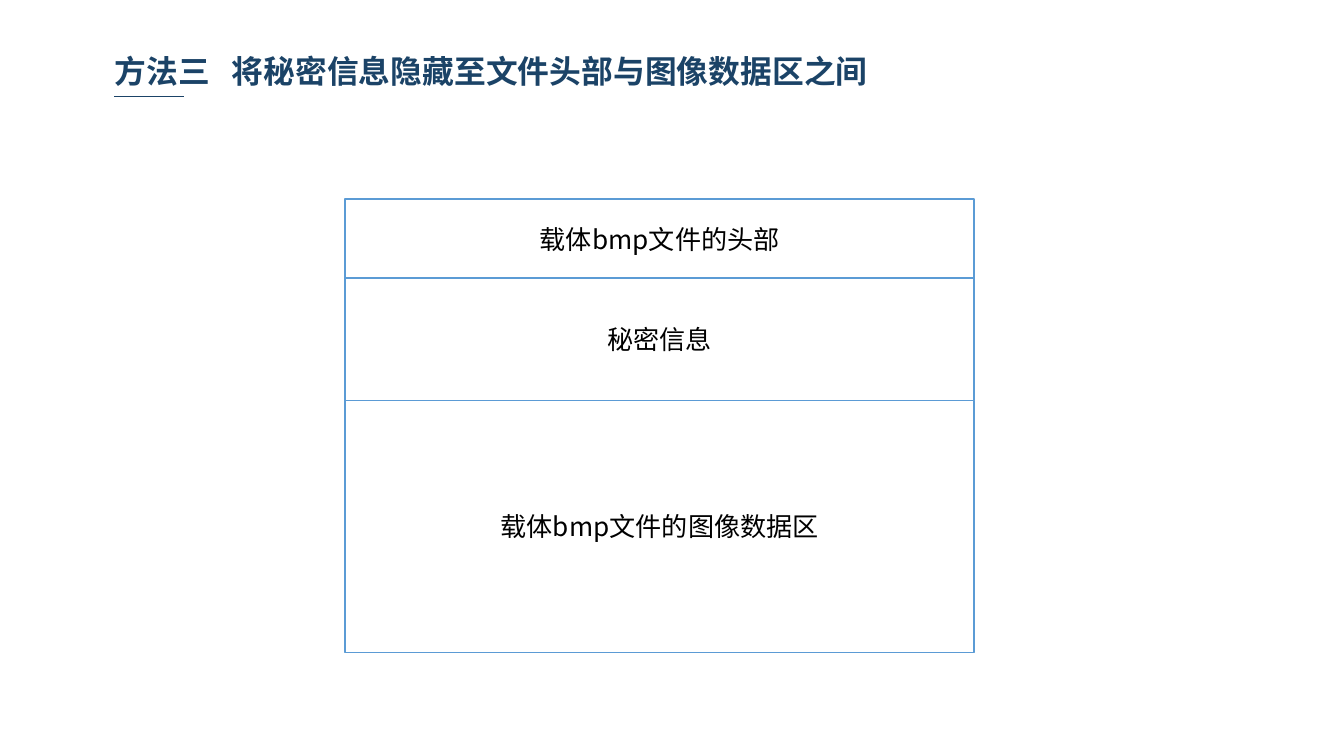
from pptx import Presentation
from pptx.dml.color import RGBColor
from pptx.enum.shapes import MSO_CONNECTOR, MSO_SHAPE
from pptx.enum.text import MSO_ANCHOR, MSO_AUTO_SIZE, PP_ALIGN
from pptx.oxml.ns import qn
from pptx.util import Inches, Pt
from lxml.etree import SubElement

HEX = {"navy": "1B4367", "blue": "5B9BD5", "white": "FFFFFF", "black": "000000"}
FONT = "Noto Sans CJK SC"


def tint(name):
    return RGBColor.from_string(HEX[name])


def write(shape, text, size=14, color="black", bold=False,
          align=PP_ALIGN.CENTER, anchor=MSO_ANCHOR.MIDDLE):
    frame = shape.text_frame
    frame.word_wrap = True
    frame.vertical_anchor = anchor
    para = frame.paragraphs[0]
    para.alignment = align
    run = para.add_run()
    run.text = text
    font = run.font
    font.name, font.size, font.bold = FONT, Pt(size), bold
    font.color.rgb = tint(color)
    SubElement(font._element, qn("a:ea"), typeface=FONT)
    return para


class Deck:
    """Holds the style and the current slide, on a grid of tenths of an inch."""

    def __init__(self, cols=100, rows=56.25):
        self.file = Presentation()
        self.file.slide_width = self.grid(cols)
        self.file.slide_height = self.grid(rows)
        self.slide = self.file.slides.add_slide(self.file.slide_layouts[5])

    def grid(self, count):
        return Inches(count / 10)

    def title(self, text, x, y, w, h, tab):
        """Format the title; tab is the stop that sets its two parts apart."""
        head = self.slide.shapes.title
        head.left, head.top, head.width, head.height = map(self.grid, (x, y, w, h))
        frame = head.text_frame
        frame.margin_left = frame.margin_right = Inches(0.07)
        frame.margin_top = frame.margin_bottom = Inches(0.04)
        para = write(head, text, size=17, color="navy", bold=True,
                     align=PP_ALIGN.LEFT, anchor=MSO_ANCHOR.TOP)
        frame.auto_size = MSO_AUTO_SIZE.SHAPE_TO_FIT_TEXT
        stops = SubElement(para._p.get_or_add_pPr(), qn("a:tabLst"))
        SubElement(stops, qn("a:tab"), pos=str(self.grid(tab)), algn="l")

    def rule(self, x, y, w):
        line = self.slide.shapes.add_connector(
            MSO_CONNECTOR.STRAIGHT, *map(self.grid, (x, y, x + w, y)))
        line.line.color.rgb = tint("navy")
        line.line.width = Pt(0.75)
        SubElement(line._element.spPr, qn("a:effectLst"))

    def block(self, text, x, y, w, h):
        box = self.slide.shapes.add_shape(
            MSO_SHAPE.RECTANGLE, *map(self.grid, (x, y, w, h)))
        box.shadow.inherit = False
        box.fill.solid()
        box.fill.fore_color.rgb = tint("white")
        box.line.color.rgb = tint("blue")
        box.line.width = Pt(1)
        write(box, text)

    def stack(self, parts, x, y, w):
        """Pile blocks downward without gaps."""
        for text, h in parts:
            self.block(text, x, y, w, h)
            y += h


def main():
    deck = Deck()
    deck.title("方法三\t将秘密信息隐藏至文件头部与图像数据区之间",
               7.85, 3.45, 59.3, 3.6, tab=8.7)
    deck.rule(8.5, 7.2, 5.2)
    deck.stack([("载体bmp文件的头部", 5.9),
                ("秘密信息", 9.1),
                ("载体bmp文件的图像数据区", 18.75)], 25.7, 14.8, 46.8)
    deck.file.save("out.pptx")


if __name__ == "__main__":
    main()
